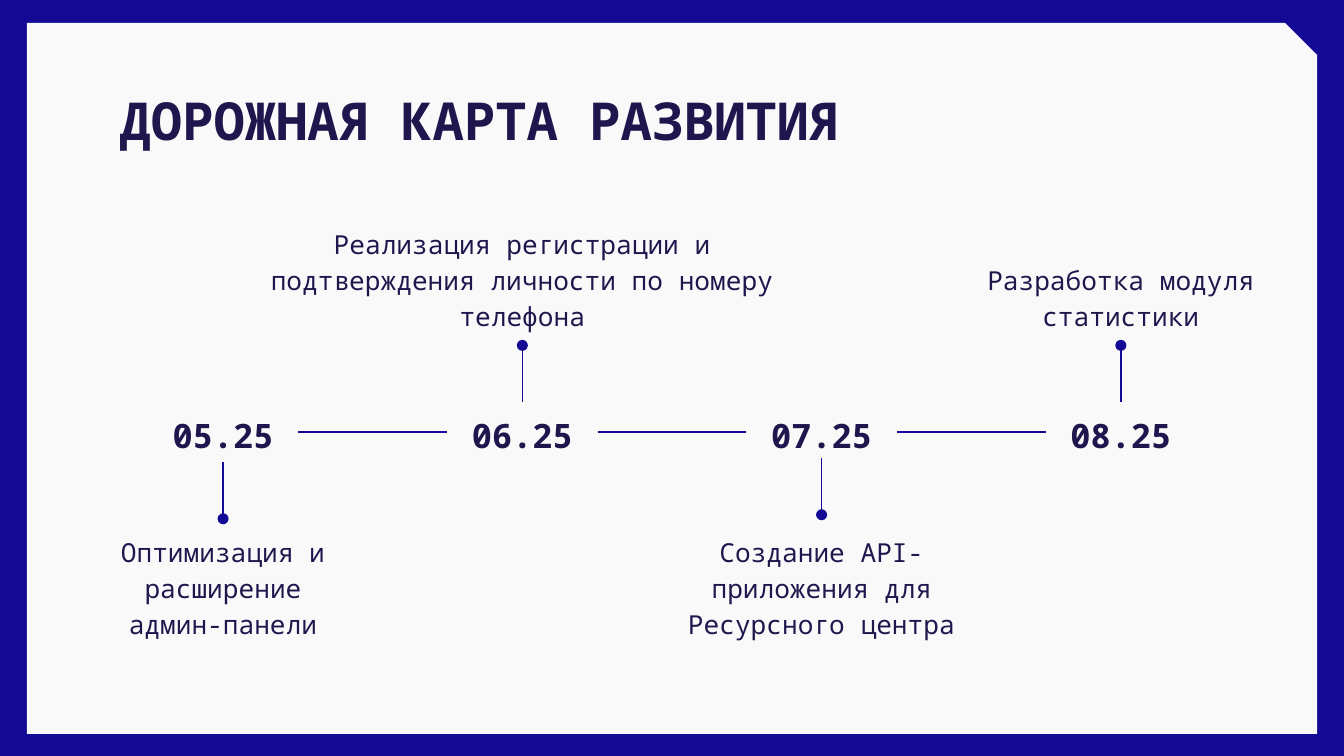
from pptx import Presentation
from pptx.dml.color import RGBColor
from pptx.enum.shapes import MSO_CONNECTOR as Link, MSO_SHAPE as Shape
from pptx.enum.text import MSO_ANCHOR as Anchor, PP_ALIGN as Align
from pptx.oxml.ns import qn
from pptx.util import Inches, Pt
from lxml.etree import SubElement

FONT = "Noto Sans Mono"
BLUE, PAPER, INK = "130994", "F9F9F9", "1F164D"

STEPS = [  # date, description, description width, is above, line shift
    ("05.25", "Оптимизация и расширение админ-панели", 1.75, False, 0),
    ("06.25", "Реализация регистрации и подтверждения личности по номеру телефона",
     4.05, True, 0),
    ("07.25", "Создание API-приложения для Ресурсного центра", 2.62, False, -0.03),
    ("08.25", "Разработка модуля статистики", 3.32, True, 0),
]


def color(code):
    return RGBColor.from_string(code)


def place(shape, x, y, w, h):
    shape.left, shape.top, shape.width, shape.height = map(Inches, (x, y, w, h))


def write(shape, text, size=14, bold=False, align=Align.CENTER, anchor=Anchor.TOP):
    frame = shape.text_frame
    frame.word_wrap = True
    frame.vertical_anchor = anchor
    frame.margin_left = frame.margin_right = Inches(0.1)
    frame.margin_top = frame.margin_bottom = Inches(0.1)
    para = frame.paragraphs[0]
    para.alignment, para.line_spacing = align, 1.15
    run = para.add_run()
    run.text = text
    font = run.font
    font.name, font.size, font.bold = FONT, Pt(size), bold
    font.color.rgb = color(INK)


def add_text(slide, box, text, **style):
    shape = slide.shapes.add_textbox(*map(Inches, box))
    write(shape, text, **style)
    return shape


def add_line(slide, ends, dot=False):
    line = slide.shapes.add_connector(Link.STRAIGHT, *map(Inches, ends))
    line.line.color.rgb = color(BLUE)
    line.line.width = Pt(0.75)
    if dot:
        SubElement(line.line._get_or_add_ln(), qn("a:tailEnd"), type="oval")
    SubElement(line._element.spPr, qn("a:effectLst"))
    return line


def join(line, start, out, end, into):
    line.begin_connect(start, out)
    line.end_connect(end, into)


def add_frame(slide, x, y, w, h):
    fill = slide.background.fill
    fill.solid()
    fill.fore_color.rgb = color(BLUE)
    card = slide.shapes.add_shape(Shape.SNIP_1_RECTANGLE, 0, 0, 0, 0)
    place(card, x, y, w, h)
    card.adjustments[0] = 0.045
    card.shadow.inherit = False
    card.fill.solid()
    card.fill.fore_color.rgb = color(PAPER)
    card.line.fill.background()
    # Keep the card behind the title
    tree = slide.shapes._spTree
    tree.remove(card._element)
    tree.insert(2, card._element)


def add_title(slide, x, y, w, h):
    title = slide.shapes.title
    place(title, x, y, w, h)
    write(title, "ДОРОЖНАЯ КАРТА РАЗВИТИЯ", size=28, bold=True, align=Align.LEFT)


def add_roadmap(slide, x, y, w, h):
    date_w, date_h, note_h = 1.12, 0.45, 0.86
    step = (w - date_w) / (len(STEPS) - 1)
    date_y = y + (h - date_h) / 2
    date_end, low_y = date_y + date_h, y + h - note_h
    mid_y = date_y + date_h / 2
    last = None
    for i, (date, note, note_w, above, shift) in enumerate(STEPS):
        left = x + i * step
        mid = left + date_w / 2
        # Description and date
        text = add_text(slide, (mid - note_w / 2, y if above else low_y, note_w, note_h),
                        note, anchor=Anchor.BOTTOM if above else Anchor.TOP)
        mark = add_text(slide, (left, date_y, date_w, date_h), date,
                        size=18, bold=True, anchor=Anchor.MIDDLE)
        # Line to the description; a shifted one stands free
        start, end = (date_y, y + note_h) if above else (date_end, low_y)
        stem = add_line(slide, (mid, start + shift, mid, end + shift), dot=True)
        if not shift:
            join(stem, mark, 0 if above else 2, text, 2 if above else 0)
        # Line from the date before
        if last is not None:
            link = add_line(slide, (left - step + date_w, mid_y, left, mid_y))
            join(link, last, 3, mark, 1)
        last = mark


def main():
    deck = Presentation()
    deck.slide_width, deck.slide_height = Inches(10), Inches(10 * 9 / 16)
    slide = deck.slides.add_slide(deck.slide_layouts[5])
    add_frame(slide, 0.2, 0.17, 9.6, 5.29)
    add_title(slide, 0.79, 0.49, 8.43, 0.63)
    add_roadmap(slide, 1.1, 1.71, 7.8, 3.01)
    deck.save("out.pptx")


if __name__ == "__main__":
    main()
